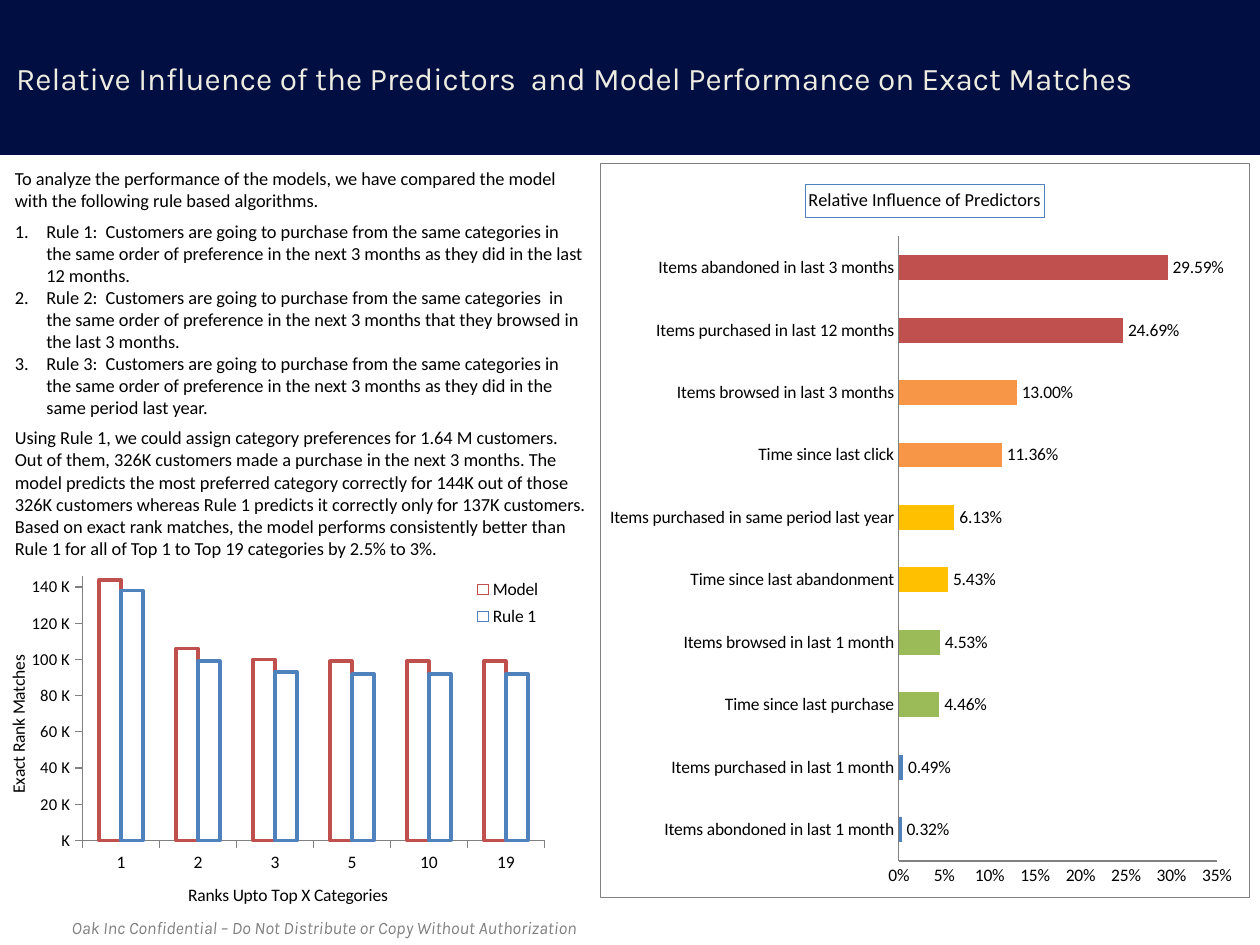
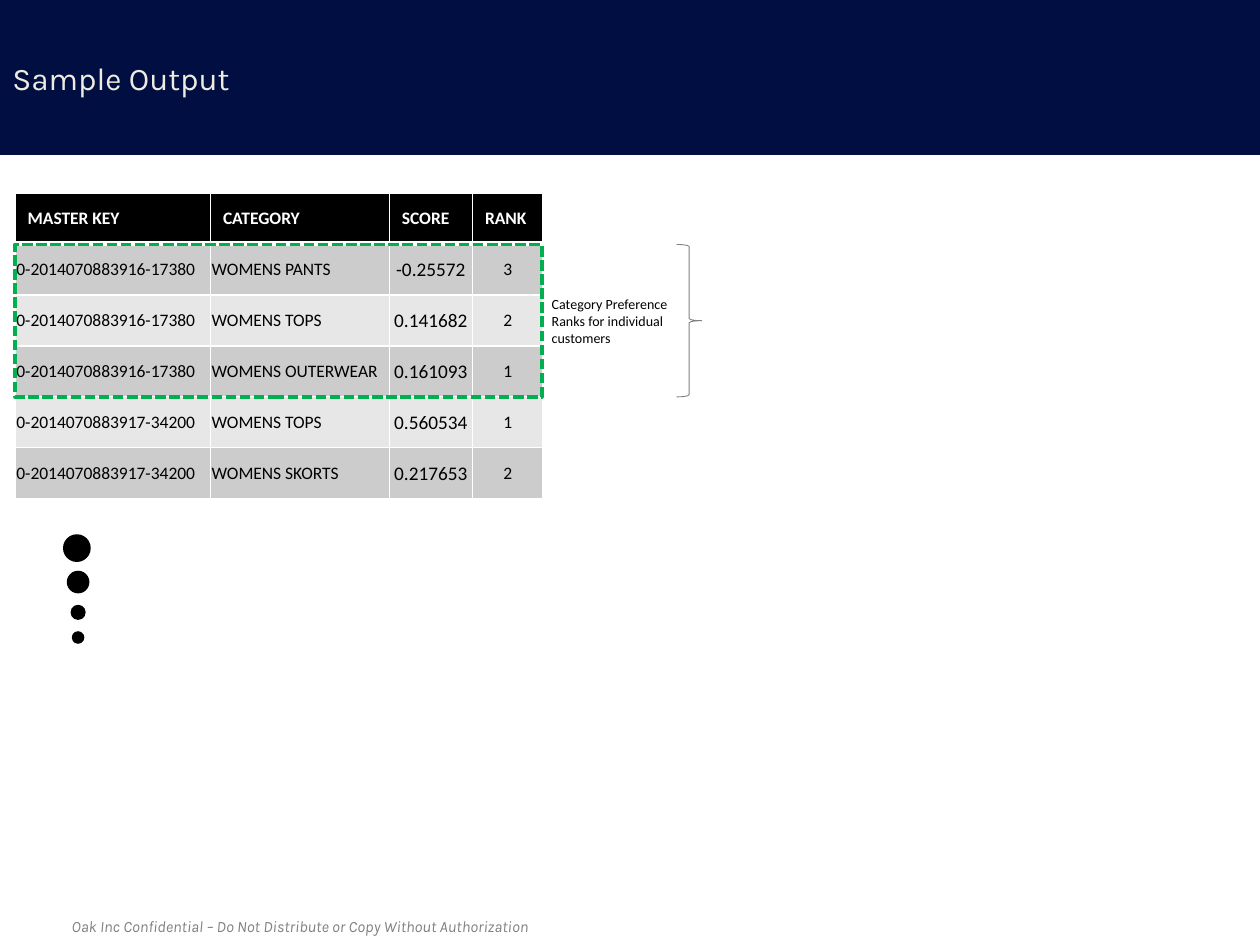
from lxml import etree
from pptx import Presentation
from pptx.chart.data import CategoryChartData
from pptx.dml.color import RGBColor
from pptx.enum.chart import XL_CHART_TYPE, XL_LEGEND_POSITION, XL_TICK_MARK
from pptx.enum.dml import MSO_LINE
from pptx.enum.shapes import MSO_SHAPE
from pptx.enum.text import MSO_ANCHOR, PP_ALIGN
from pptx.oxml import parse_xml
from pptx.oxml.ns import nsdecls, qn
from pptx.util import Inches, Pt

NAVY = RGBColor(0x00, 0x0E, 0x41)
CREAM = RGBColor(0xEE, 0xEC, 0xE1)
WHITE = RGBColor(0xFF, 0xFF, 0xFF)
BLACK = RGBColor(0x00, 0x00, 0x00)
GRAY = RGBColor(0x80, 0x80, 0x80)
DARK_ROW = RGBColor(0xCC, 0xCC, 0xCC)
LIGHT_ROW = RGBColor(0xE7, 0xE7, 0xE7)
BLUE = RGBColor(0x4F, 0x81, 0xBD)
RED = RGBColor(0xC0, 0x50, 0x4D)
GREEN = RGBColor(0x9B, 0xBB, 0x59)
YELLOW = RGBColor(0xFF, 0xC0, 0x00)
ORANGE = RGBColor(0xF7, 0x96, 0x46)
DASH_GREEN = RGBColor(0x00, 0xB0, 0x50)
TITLE_FONT = "Karla"
BODY_FONT = "Calibri"


def write_text(frame, text, size=10, color=BLACK, font=BODY_FONT, bold=False,
               italic=False, align=PP_ALIGN.LEFT, space_before=0):
    """Fill the first paragraph of the frame, or add one if it holds text."""
    paragraph = frame.add_paragraph() if frame.text else frame.paragraphs[0]
    paragraph.alignment = align
    paragraph.space_before = Pt(space_before)
    run = paragraph.add_run()
    run.text = text
    run.font.size = Pt(size)
    run.font.name = font
    run.font.bold = bold
    run.font.italic = italic
    run.font.color.rgb = color
    return paragraph


def add_text_frame(slide, left, top, width, height, anchor=MSO_ANCHOR.TOP):
    box = slide.shapes.add_textbox(Inches(left), Inches(top), Inches(width), Inches(height))
    frame = box.text_frame
    frame.word_wrap = True
    frame.vertical_anchor = anchor
    return frame


presentation = Presentation()
presentation.slide_width = Inches(10)
presentation.slide_height = Inches(7.5)

# Band, title and footer of both slides
FOOTER = "Oak Inc Confidential – Do Not Distribute or Copy Without Authorization"
slides = []
for title, title_left, footer_size in (
    ("Relative Influence of the Predictors  and Model Performance on Exact Matches", 0.03, 10),
    ("Sample Output", 0, 9),
):
    slide = presentation.slides.add_slide(presentation.slide_layouts[6])
    band = slide.shapes.add_shape(MSO_SHAPE.RECTANGLE, 0, Inches(-0.01), Inches(10), Inches(1.24))
    band.shadow.inherit = False
    band.fill.solid()
    band.fill.fore_color.rgb = NAVY
    band.line.fill.background()
    title_frame = add_text_frame(slide, title_left, 0.05, 10, 1.13, MSO_ANCHOR.MIDDLE)
    write_text(title_frame, title, size=18, color=CREAM, font=TITLE_FONT)
    footer_frame = add_text_frame(slide, 0.47, 7.23, 9.32, 0.27)
    write_text(footer_frame, FOOTER, size=footer_size, color=GRAY, font=TITLE_FONT, italic=True)
    slides.append(slide)
performance_slide, output_slide = slides

# Slide 1: explanation of the rules
rules_frame = add_text_frame(performance_slide, 0.02, 1.31, 4.73, 3.14, MSO_ANCHOR.MIDDLE)
rules_frame.margin_top = rules_frame.margin_bottom = 0
for text, numbered, space_before in (
    ("To analyze the performance of the models, we have compared the model with the "
     "following rule based algorithms.", False, 0),
    ("Rule 1:  Customers are going to purchase from the same categories in the same order of "
     "preference in the next 3 months as they did in the last 12 months.", True, 5),
    ("Rule 2:  Customers are going to purchase from the same categories  in the same order of "
     "preference in the next 3 months that they browsed in the last 3 months.", True, 0),
    ("Rule 3:  Customers are going to purchase from the same categories in the same order of "
     "preference in the next 3 months as they did in the same period last year.", True, 0),
    ("Using Rule 1, we could assign category preferences for 1.64 M customers.", False, 5),
    ("Out of them, 326K customers made a purchase in the next 3 months. The model predicts the "
     "most preferred category correctly for 144K out of those 326K customers whereas Rule 1 "
     "predicts it correctly only for 137K customers. Based on exact rank matches, the model "
     "performs consistently better than Rule 1 for all of Top 1 to Top 19 categories by 2.5% "
     "to 3%.", False, 0),
):
    paragraph = write_text(rules_frame, text, size=10.5, space_before=space_before)
    if numbered:
        properties = paragraph._p.get_or_add_pPr()
        properties.set("marL", str(Inches(0.25)))
        properties.set("indent", str(-Inches(0.25)))
        etree.SubElement(properties, qn("a:buAutoNum"), type="arabicPeriod")

# Slide 1: charts
predictors = (
    ("Items abondoned in last 1 month", 0.0032, BLUE),
    ("Items purchased in last 1 month", 0.0049, BLUE),
    ("Time since last purchase", 0.0446, GREEN),
    ("Items browsed in last 1 month", 0.0453, GREEN),
    ("Time since last abandonment", 0.0543, YELLOW),
    ("Items purchased in same period last year", 0.0613, YELLOW),
    ("Time since last click", 0.1136, ORANGE),
    ("Items browsed in last 3 months", 0.13, ORANGE),
    ("Items purchased in last 12 months", 0.2469, RED),
    ("Items abandoned in last 3 months", 0.2959, RED),
)
influence_data = CategoryChartData()
influence_data.categories = [name for name, value, color in predictors]
influence_data.add_series("Series 1", [value for name, value, color in predictors])
match_data = CategoryChartData()
match_data.categories = ["1", "2", "3", "5", "10", "19"]
match_data.add_series("Model", (144000, 106000, 100000, 99000, 99000, 99000))
match_data.add_series("Rule 1", (138000, 99000, 93000, 92000, 92000, 92000))

charts = []
for chart_type, data, left, top, width, height, number_format, maximum, unit, tick in (
    (XL_CHART_TYPE.BAR_CLUSTERED, influence_data, 4.76, 1.29, 5.16, 5.84,
     "0%", 0.35, 0.05, XL_TICK_MARK.NONE),
    (XL_CHART_TYPE.COLUMN_CLUSTERED, match_data, 0.03, 4.33, 4.47, 3.04,
     "###,\\ \\K", 146000, 20000, XL_TICK_MARK.OUTSIDE),
):
    chart = performance_slide.shapes.add_chart(
        chart_type, Inches(left), Inches(top), Inches(width), Inches(height), data).chart
    chart.font.size = Pt(10)
    chart.font.name = BODY_FONT
    chart.font.color.rgb = BLACK
    chart.has_legend = False
    chart.has_title = False
    chart.plots[0].gap_width = 150
    chart.plots[0].vary_by_categories = False
    for axis in (chart.category_axis, chart.value_axis):
        axis.major_tick_mark = tick
        axis.minor_tick_mark = XL_TICK_MARK.NONE
        axis.has_major_gridlines = False
        axis.format.line.color.rgb = GRAY
        axis.format.line.width = Pt(0.75)
    value_axis = chart.value_axis
    value_axis.minimum_scale = 0
    value_axis.maximum_scale = maximum
    value_axis.major_unit = unit
    value_axis.tick_labels.number_format = number_format
    value_axis.tick_labels.number_format_is_linked = False
    charts.append(chart)
influence_chart, match_chart = charts

influence_chart.has_title = True
write_text(influence_chart.chart_title.text_frame, "Relative Influence of Predictors",
           size=10.5, align=PP_ALIGN.CENTER)
influence_chart.chart_title.format.line.color.rgb = BLUE
influence_chart.chart_title.format.line.width = Pt(0.5)
influence_chart.value_axis.format.line.color.rgb = GRAY
influence_series = influence_chart.plots[0].series[0]
influence_series.invert_if_negative = False
influence_series.format.fill.solid()
influence_series.format.fill.fore_color.rgb = RED
for index, (name, value, color) in enumerate(predictors):
    if color != RED:
        point_fill = influence_series.points[index].format.fill
        point_fill.solid()
        point_fill.fore_color.rgb = color
labels = influence_series.data_labels
labels.show_value = True
labels.number_format = "0.00%"
labels.number_format_is_linked = False
influence_chart._chartSpace.find(qn("c:chart")).addnext(parse_xml(
    f'<c:spPr {nsdecls("c", "a")}><a:solidFill><a:srgbClr val="{WHITE}"/></a:solidFill>'
    f'<a:ln w="{Pt(0.5)}"><a:solidFill><a:srgbClr val="{GRAY}"/></a:solidFill></a:ln></c:spPr>'))

for axis, title in ((match_chart.category_axis, "Ranks Upto Top X Categories"),
                    (match_chart.value_axis, "Exact Rank Matches")):
    write_text(axis.axis_title.text_frame, title, align=PP_ALIGN.CENTER)
match_chart.value_axis.tick_labels.font.size = Pt(9.5)
match_chart.plots[0].overlap = 0
for series, color in zip(match_chart.plots[0].series, (RED, BLUE)):
    series.invert_if_negative = False
    series.format.fill.solid()
    series.format.fill.fore_color.rgb = WHITE
    series.format.line.color.rgb = color
    series.format.line.width = Pt(2)
match_chart.has_legend = True
match_chart.legend.position = XL_LEGEND_POSITION.CORNER
match_chart.legend.include_in_layout = False

# Places inside each chart, as fractions of its size
for element, position, target, fractions in (
    (influence_chart._chartSpace.find(".//" + qn("c:plotArea")), 0, "inner",
     (0.46, 0.1, 0.49, 0.85)),
    (match_chart._chartSpace.find(".//" + qn("c:plotArea")), 0, "inner",
     (0.14, 0.08, 0.82, 0.69)),
    (match_chart.legend._element, 1, None, (0.81, 0.07, 0.17, 0.16)),
):
    for old_layout in element.findall(qn("c:layout")):
        element.remove(old_layout)
    layout = parse_xml(f'<c:layout {nsdecls("c")}><c:manualLayout/></c:layout>')
    if target:
        etree.SubElement(layout[0], qn("c:layoutTarget"), val=target)
    for tag in ("xMode", "yMode"):
        etree.SubElement(layout[0], qn("c:" + tag), val="edge")
    for tag, fraction in zip("xywh", fractions):
        etree.SubElement(layout[0], qn("c:" + tag), val=str(fraction))
    element.insert(position, layout)

# Slide 2: table of ranked categories
rows = (
    ("MASTER KEY", "CATEGORY", "SCORE", "RANK"),
    ("0-2014070883916-17380", "WOMENS PANTS", "-0.25572", "3"),
    ("0-2014070883916-17380", "WOMENS TOPS", "0.141682", "2"),
    ("0-2014070883916-17380", "WOMENS OUTERWEAR", "0.161093", "1"),
    ("0-2014070883917-34200", "WOMENS TOPS", "0.560534", "1"),
    ("0-2014070883917-34200", "WOMENS SKORTS", "0.217653", "2"),
)
table = output_slide.shapes.add_table(
    len(rows), 4, Inches(0.12), Inches(1.53), Inches(4.18), Inches(2.43)).table
for column, width in zip(table.columns, (1.55, 1.42, 0.66, 0.56)):
    column.width = Inches(width)
for row_index, row in enumerate(rows):
    is_header = row_index == 0
    table.rows[row_index].height = Inches(2.43 / len(rows))
    for column_index, text in enumerate(row):
        cell = table.cell(row_index, column_index)
        cell.vertical_anchor = MSO_ANCHOR.MIDDLE
        if is_header:
            write_text(cell.text_frame, text, color=WHITE, bold=True)
        else:
            cell.margin_left = cell.margin_right = cell.margin_top = Inches(0.01)
            cell.margin_bottom = 0
            write_text(cell.text_frame, text, size=11 if column_index == 2 else 10,
                       align=PP_ALIGN.CENTER if column_index >= 2 else PP_ALIGN.LEFT)
        for side in "LRTB":
            under_header = (row_index, side) in ((0, "B"), (1, "T"))
            cell._tc.get_or_add_tcPr().append(parse_xml(
                f'<a:ln{side} {nsdecls("a")} w="{Pt(3 if under_header else 1)}">'
                f'<a:solidFill><a:srgbClr val="{WHITE}"/></a:solidFill></a:ln{side}>'))
        cell.fill.solid()
        cell.fill.fore_color.rgb = BLACK if is_header else (LIGHT_ROW, DARK_ROW)[row_index % 2]

# Slide 2: marked customer, brace and continuation dots
for preset, left, top, width, height, fill, line, line_width in (
    (MSO_SHAPE.RECTANGLE, 0.12, 1.94, 4.18, 1.21, None, DASH_GREEN, 2),
    (MSO_SHAPE.RIGHT_BRACE, 5.37, 1.94, 0.2, 1.21, None, GRAY, 0.5),
    (MSO_SHAPE.OVAL, 0.5, 4.24, 0.22, 0.22, BLACK, None, 0),
    (MSO_SHAPE.OVAL, 0.53, 4.53, 0.18, 0.18, BLACK, None, 0),
    (MSO_SHAPE.OVAL, 0.56, 4.8, 0.12, 0.12, BLACK, None, 0),
    (MSO_SHAPE.OVAL, 0.57, 5.01, 0.1, 0.1, BLACK, None, 0),
):
    shape = output_slide.shapes.add_shape(
        preset, Inches(left), Inches(top), Inches(width), Inches(height))
    shape.shadow.inherit = False
    if fill is None:
        shape.fill.background()
        shape.line.color.rgb = line
        shape.line.width = Pt(line_width)
    else:
        shape.fill.solid()
        shape.fill.fore_color.rgb = fill
        shape.line.fill.background()
    if preset == MSO_SHAPE.RECTANGLE:
        shape.line.dash_style = MSO_LINE.SQUARE_DOT

note_frame = add_text_frame(output_slide, 4.28, 2.3, 1.35, 0.5)
write_text(note_frame, "Category Preference Ranks for individual customers", size=8)

presentation.save("out.pptx")
